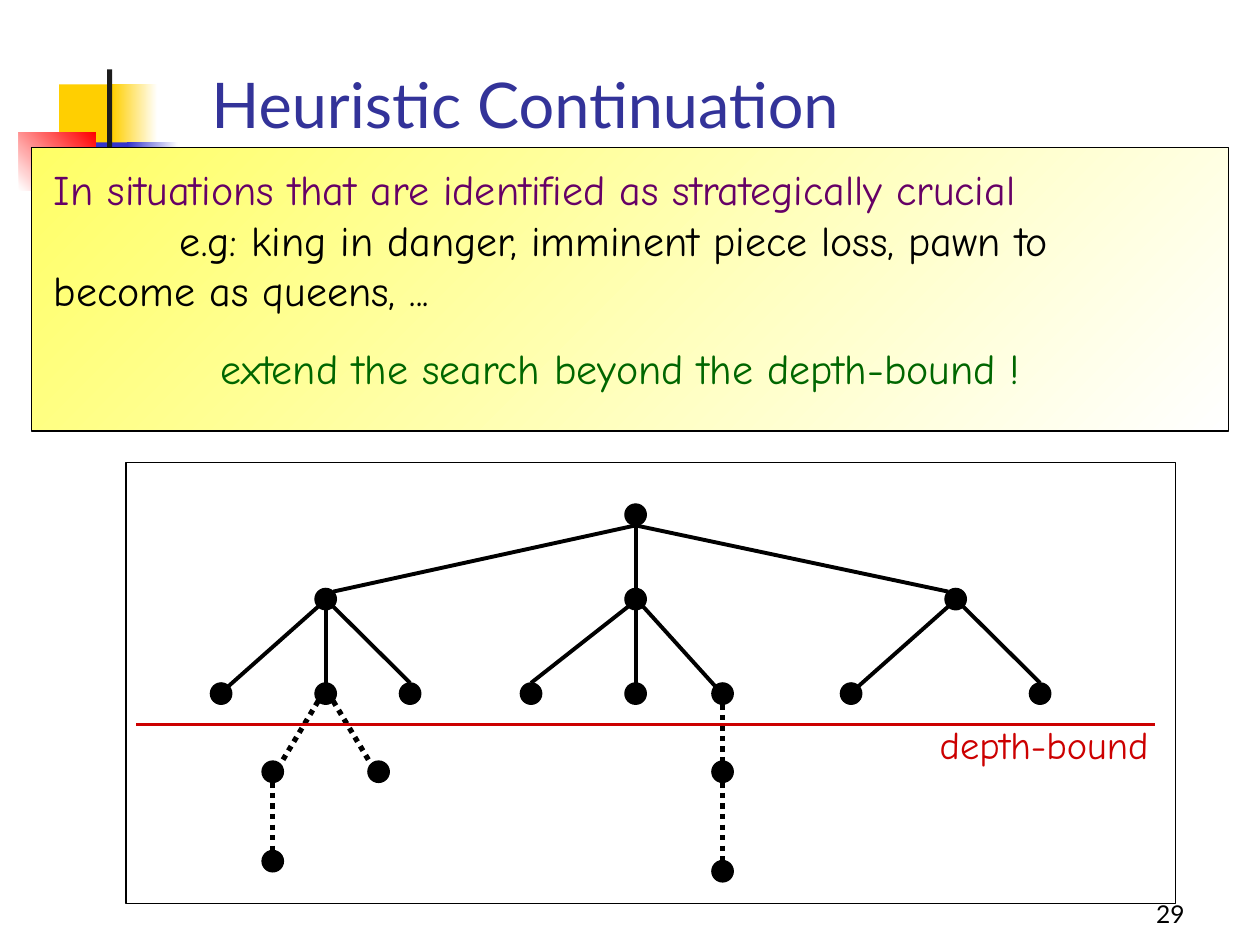
"""Build the Heuristic Continuation slide with its depth-bounded search tree."""

from dataclasses import dataclass

import lxml.etree
import pptx
import pptx.dml.color
import pptx.enum.dml
import pptx.enum.shapes
import pptx.enum.text
import pptx.oxml.ns
import pptx.util

Inches = pptx.util.Inches
Pt = pptx.util.Pt
Shapes = pptx.enum.shapes.MSO_SHAPE
Align = pptx.enum.text.PP_ALIGN
Anchor = pptx.enum.text.MSO_ANCHOR

COLORS = {
    "black": "000000",
    "white": "FFFFFF",
    "charcoal": "1C1C1C",
    "gold": "FFCF01",
    "blue": "3333CC",
    "red": "FF0000",
    "yellow": "FFFF66",
    "title": "333399",
    "purple": "660066",
    "green": "006600",
    "bound": "CC0000",
}


@dataclass(frozen=True)
class Block:
    left: float
    top: float
    width: float
    height: float
    color: str
    fade_to: str | None = None
    angle: float = 0
    outline: str | None = None
    kind: Shapes = Shapes.RECTANGLE


@dataclass(frozen=True)
class Statement:
    lines: tuple[str, ...]
    color: str
    indent: float = 0
    align: Align = Align.LEFT


@dataclass(frozen=True)
class Caption:
    left: float
    top: float
    width: float
    height: float
    font: str
    size: float
    statements: tuple[Statement, ...]
    wrap: bool = True
    anchor: Anchor = Anchor.TOP


@dataclass(frozen=True)
class Branch:
    parent: str
    child: str
    leaves: str
    enters: str
    extended: bool = False


ORNAMENTS = (
    Block(0.47, 0.67, 0.48, 0.52, "gold"),
    Block(0.89, 0.67, 0.36, 0.52, "gold", "white"),
    Block(0.61, 1.13, 0.46, 0.52, "blue"),
    Block(1.01, 1.13, 0.4, 0.52, "blue", "white"),
    Block(0.15, 1.05, 0.61, 0.46, "white", "red", 315),
    Block(0.85, 0.55, 0.04, 1.15, "charcoal"),
)
ADVICE_PANEL = Block(0.25, 1.17, 9.5, 2.25, "yellow", "white", 45, "black")
TREE_PANEL = Block(1, 3.67, 8.33, 3.5, "white", outline="black")

CAPTIONS = (
    Caption(7.42, 6.92, 2.08, 0.5, "Lato", 14,
            (Statement(("29",), "black", align=Align.RIGHT),), anchor=Anchor.BOTTOM),
    Caption(1.58, 0.17, 5.75, 1, "Lato", 36,
            (Statement(("Heuristic Continuation",), "title"),), anchor=Anchor.BOTTOM),
    Caption(0.33, 1.25, 9.42, 1.3, "Comic Neue", 24, (
        Statement(("In situations that are identified as strategically crucial",), "purple"),
        Statement(("e.g: king in danger, imminent piece loss, pawn to",
                   "become as queens, ..."), "black", indent=1),
    )),
    Caption(1.65, 2.67, 6.57, 0.5, "Comic Neue", 24,
            (Statement(("extend the search beyond the depth-bound !",), "green"),), wrap=False),
    Caption(7.36, 5.67, 1.86, 0.47, "Comic Neue", 22,
            (Statement(("depth-bound",), "bound"),), wrap=False),
)

DOT = 0.17
SITES = {
    "top": (0.5, 0),
    "bottom": (0.5, 1),
    "top left": (0.15, 0.15),
    "top right": (0.85, 0.15),
    "bottom left": (0.15, 0.85),
    "bottom right": (0.85, 0.85),
}
LEVELS = (
    (4, {"root": 4.96}),
    (4.67, {"a": 2.5, "b": 4.96, "c": 7.5}),
    (5.42, {"a1": 1.67, "a2": 2.5, "a3": 3.17, "b1": 4.13, "b2": 4.96,
            "b3": 5.65, "c1": 6.67, "c2": 8.17}),
    (6.04, {"a2 left": 2.08, "a2 right": 2.92, "b3 next": 5.65}),
    (6.75, {"a2 last": 2.08}),
    (6.83, {"b3 last": 5.65}),
)
NODES = {name: (left, top) for top, row in LEVELS for name, left in row.items()}
BRANCHES = (
    Branch("root", "a", "bottom", "top right"),
    Branch("root", "b", "bottom", "top"),
    Branch("root", "c", "bottom", "top left"),
    Branch("a", "a1", "bottom left", "top right"),
    Branch("a", "a2", "bottom", "top"),
    Branch("a", "a3", "bottom right", "top"),
    Branch("b", "b1", "bottom left", "top"),
    Branch("b", "b2", "bottom", "top"),
    Branch("b", "b3", "bottom right", "top left"),
    Branch("c", "c1", "bottom left", "top right"),
    Branch("c", "c2", "bottom right", "top"),
    Branch("a2", "a2 left", "bottom left", "top right", True),
    Branch("a2", "a2 right", "bottom right", "top left", True),
    Branch("a2 left", "a2 last", "bottom", "top", True),
    Branch("b3", "b3 next", "bottom", "top", True),
    Branch("b3 next", "b3 last", "bottom", "top", True),
)


def rgb(color: str) -> pptx.dml.color.RGBColor:
    return pptx.dml.color.RGBColor.from_string(COLORS[color])


def apply(target, formats: dict) -> None:
    for attribute, value in formats.items():
        setattr(target, attribute, value)


def draw_block(slide, block: Block) -> None:
    frame = map(Inches, (block.left, block.top, block.width, block.height))
    shape = slide.shapes.add_shape(block.kind, *frame)
    shape.shadow.inherit = False
    if block.fade_to:
        shape.fill.gradient()
        shape.fill.gradient_angle = (360 - block.angle) % 360
        for stop, color in zip(shape.fill.gradient_stops, (block.color, block.fade_to)):
            stop.color.rgb = rgb(color)
    else:
        shape.fill.solid()
        shape.fill.fore_color.rgb = rgb(block.color)
    if block.outline:
        shape.line.color.rgb = rgb(block.outline)
        shape.line.width = Pt(0.75)
    else:
        shape.line.fill.background()


def draw_line(slide, start: tuple, end: tuple, color: str, dotted: bool = False) -> None:
    line = slide.shapes.add_connector(
        pptx.enum.shapes.MSO_CONNECTOR.STRAIGHT, *map(Inches, (*start, *end)))
    line.line.color.rgb = rgb(color)
    line.line.width = Pt(3 if dotted else 2.25)
    if dotted:
        line.line.dash_style = pptx.enum.dml.MSO_LINE.ROUND_DOT
    lxml.etree.SubElement(line._element.spPr, pptx.oxml.ns.qn("a:effectLst"))


def draw_caption(slide, caption: Caption) -> None:
    frame = map(Inches, (caption.left, caption.top, caption.width, caption.height))
    text = slide.shapes.add_textbox(*frame).text_frame
    apply(text, {"word_wrap": caption.wrap, "vertical_anchor": caption.anchor})
    for index, statement in enumerate(caption.statements):
        paragraph = text.add_paragraph() if index else text.paragraphs[0]
        paragraph.alignment = statement.align
        if statement.indent:
            properties = paragraph._p.get_or_add_pPr()
            properties.set("marL", "0")
            properties.set("indent", str(Inches(statement.indent)))
        for row, words in enumerate(statement.lines):
            if row:
                paragraph.add_line_break()
            run = paragraph.add_run()
            run.text = words
            apply(run.font, {"name": caption.font, "size": Pt(caption.size)})
            run.font.color.rgb = rgb(statement.color)


def site(node: str, side: str) -> tuple[float, float]:
    return tuple(edge + DOT * share for edge, share in zip(NODES[node], SITES[side]))


def draw_tree(slide) -> None:
    draw_block(slide, TREE_PANEL)
    for left, top in NODES.values():
        draw_block(slide, Block(left, top, DOT, DOT, "black", outline="black", kind=Shapes.OVAL))
    for branch in BRANCHES:
        draw_line(slide, site(branch.parent, branch.leaves),
                  site(branch.child, branch.enters), "black", branch.extended)
    draw_line(slide, (1.08, 5.75), (9.17, 5.75), "bound")


def main() -> None:
    deck = pptx.Presentation()
    apply(deck, {"slide_width": Inches(10), "slide_height": Inches(7.5)})
    slide = deck.slides.add_slide(deck.slide_layouts[6])
    for block in (*ORNAMENTS, ADVICE_PANEL):
        draw_block(slide, block)
    draw_tree(slide)
    for caption in CAPTIONS:
        draw_caption(slide, caption)
    deck.save("out.pptx")


if __name__ == "__main__":
    main()
